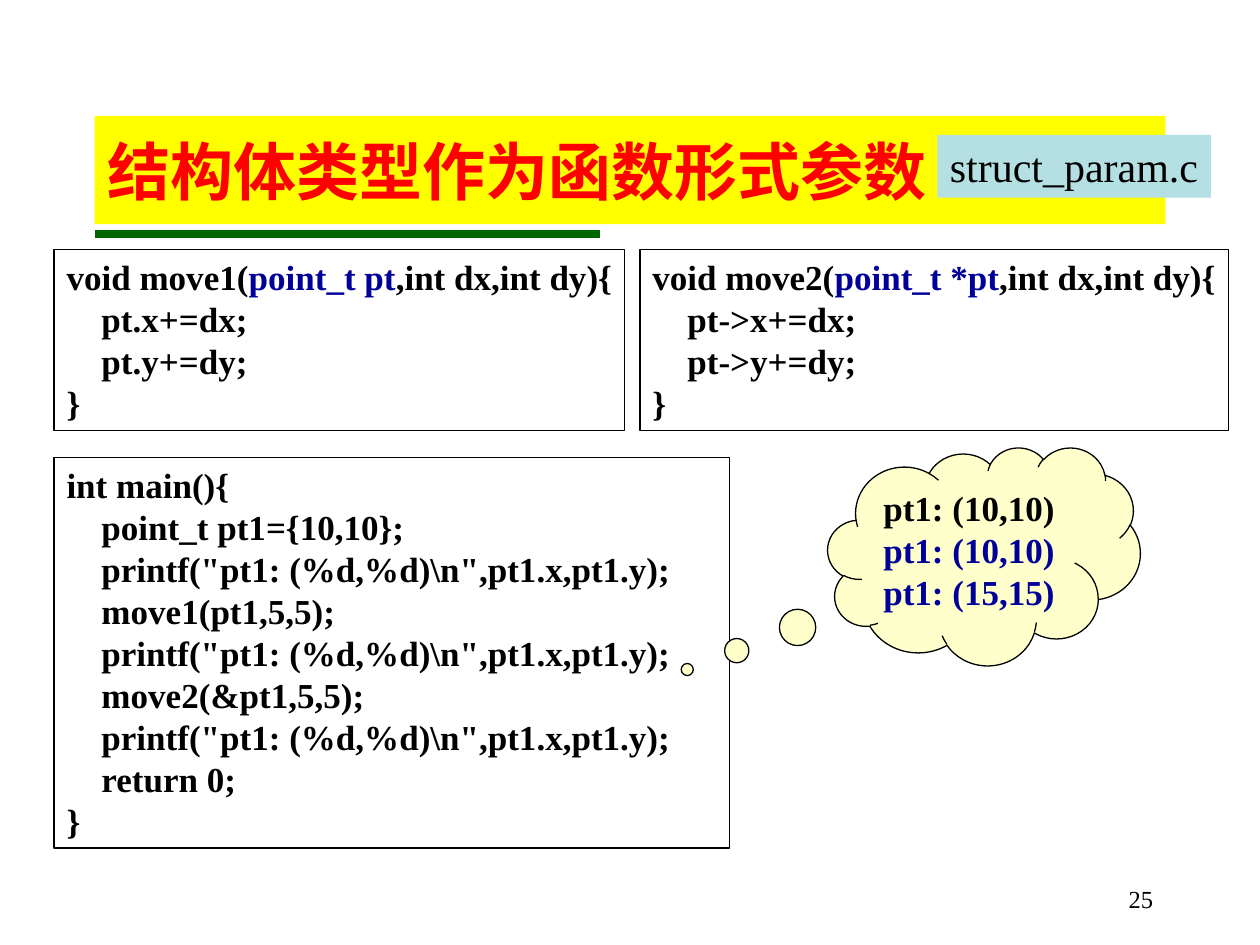
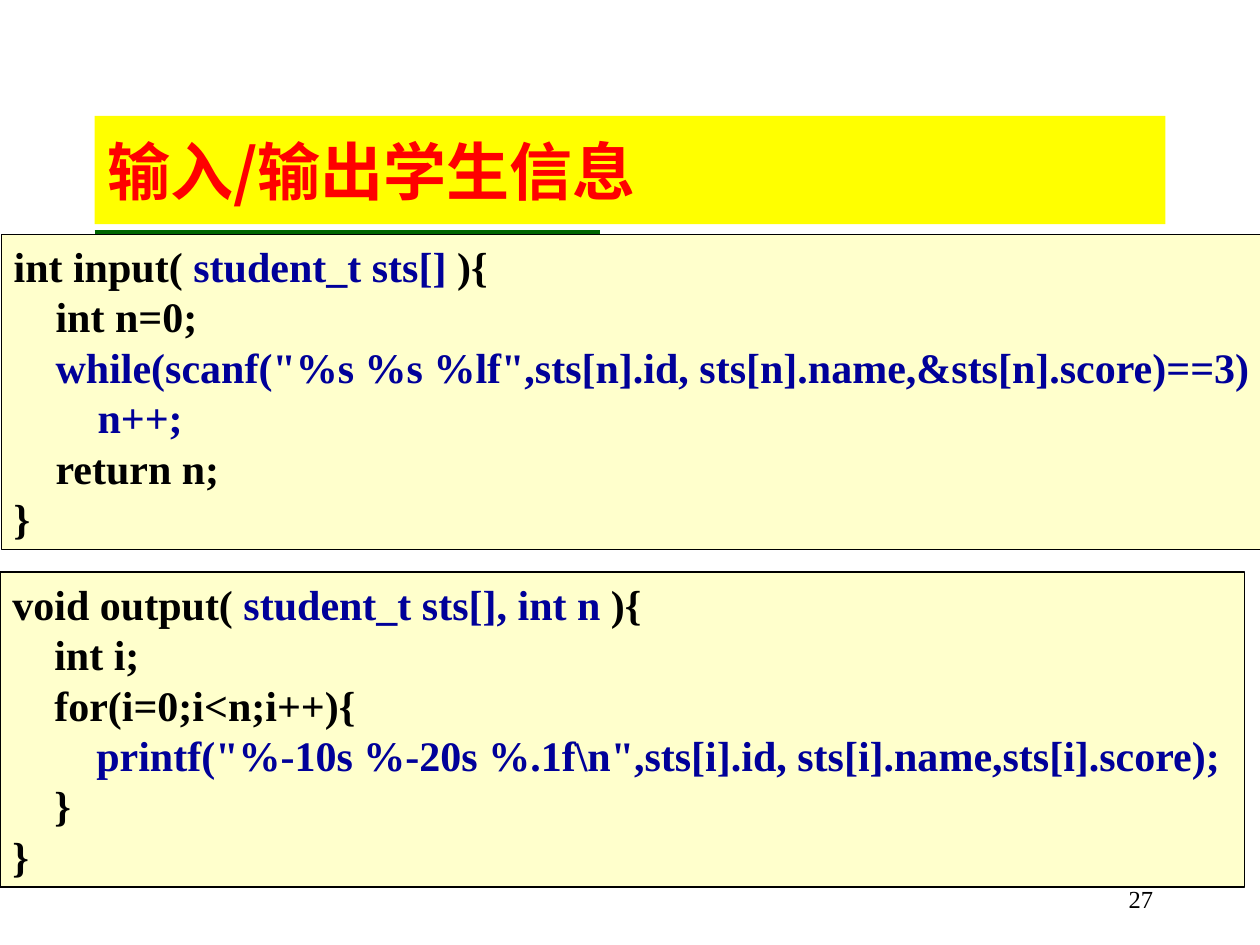
from lxml.etree import SubElement
from pptx import Presentation
from pptx.dml.color import RGBColor as RGB
from pptx.enum.shapes import MSO_CONNECTOR as LINE, MSO_SHAPE as SHAPE
from pptx.enum.text import MSO_ANCHOR as ANCHOR, MSO_AUTO_SIZE as FIT, PP_ALIGN as ALIGN
from pptx.oxml.ns import qn
from pptx.util import Pt

PX = 9144  # 100 px to the inch
BLACK = RGB(0x00, 0x00, 0x00)
BLUE = RGB(0x00, 0x00, 0x99)
RED = RGB(0xFF, 0x00, 0x00)
YELLOW = RGB(0xFF, 0xFF, 0x00)
GREEN = RGB(0x00, 0x66, 0x00)
CREAM = RGB(0xFF, 0xFF, 0xCC)
AQUA = RGB(0xB5, 0xE0, 0xE3)
SERIF = "Times New Roman"
SANS = "Noto Sans CJK SC"


def style(run, size, color, bold=True, face=SERIF):
    font = run.font
    font.name, font.size, font.bold = face, Pt(size), bold
    font.color.rgb = color


def add_box(slide, kind, area, text, size, fill=None, edge=True, bold=True, wrap=True):
    """Add a framed text; the parts between bars are blue."""
    box = slide.shapes.add_shape(kind, *[n * PX for n in area])
    box.shadow.inherit = False
    if fill:
        box.fill.solid()
        box.fill.fore_color.rgb = fill
    else:
        box.fill.background()
    if edge:
        box.line.color.rgb = BLACK
        box.line.width = Pt(0.75)
    else:
        box.line.fill.background()
    frame = box.text_frame
    frame.word_wrap = wrap
    frame.vertical_anchor = ANCHOR.TOP
    frame.auto_size = FIT.SHAPE_TO_FIT_TEXT if kind == SHAPE.RECTANGLE else FIT.NONE
    for i, row in enumerate(text.split("\n")):
        para = frame.add_paragraph() if i else frame.paragraphs[0]
        para.alignment = ALIGN.LEFT
        for j, part in enumerate(row.split("|")):
            if part:
                run = para.add_run()
                run.text = part
                style(run, size, BLUE if j % 2 else BLACK, bold)
    return box


deck = Presentation()
deck.slide_width, deck.slide_height = 1000 * PX, 750 * PX

# Shared title band, rule and page number
slides = []
for name, page in [("结构体类型作为函数形式参数", "25"), ("输入/输出学生信息", "27")]:
    slide = deck.slides.add_slide(deck.slide_layouts[5])
    slides.append(slide)

    title = slide.shapes.title
    title.left, title.top, title.width, title.height = [n * PX for n in (75, 92, 850, 86)]
    title.fill.solid()
    title.fill.fore_color.rgb = YELLOW
    frame = title.text_frame
    frame.text = name
    frame.auto_size = FIT.NONE
    frame.vertical_anchor = ANCHOR.MIDDLE
    para = frame.paragraphs[0]
    para.alignment = ALIGN.LEFT
    run = para.runs[0]
    style(run, 36, RED, face=SANS)
    SubElement(run.font._element, qn("a:ea")).set("typeface", SANS)

    rule = slide.shapes.add_connector(LINE.STRAIGHT, 75 * PX, 186 * PX, 476 * PX, 186 * PX)
    rule.line.color.rgb = GREEN
    rule.line.width = Pt(4.5)
    SubElement(rule._element.spPr, qn("a:effectLst"))

    foot = slide.shapes.add_textbox(717 * PX, 692 * PX, 208 * PX, 38 * PX).text_frame
    foot.word_wrap = True
    foot.vertical_anchor = ANCHOR.BOTTOM
    foot.text = page
    foot.paragraphs[0].alignment = ALIGN.RIGHT
    style(foot.paragraphs[0].runs[0], 14, BLACK, bold=False)

# Slide 1: structures as parameters
first, second = slides
add_box(first, SHAPE.RECTANGLE, (43, 363, 536, 310), r"""int main(){
    point_t pt1={10,10};
    printf("pt1: (%d,%d)\n",pt1.x,pt1.y);
    move1(pt1,5,5);
    printf("pt1: (%d,%d)\n",pt1.x,pt1.y);
    move2(&pt1,5,5);
    printf("pt1: (%d,%d)\n",pt1.x,pt1.y);
    return 0;
}""", 20)

cloud = add_box(first, SHAPE.CLOUD_CALLOUT, (657, 355, 248, 173), """pt1: (10,10)
|pt1: (10,10)|
|pt1: (15,15)|""", 20, CREAM)
cloud.adjustments[0] = -0.95
cloud.adjustments[1] = 0.52

for left, width, func, arg, ref in [
    (508, 467, "move2", "*pt", "pt->"),
    (43, 453, "move1", "pt", "pt."),
]:
    code = f"""void {func}(|point_t {arg}|,int dx,int dy){{
    {ref}x+=dx;
    {ref}y+=dy;
}}"""
    add_box(first, SHAPE.RECTANGLE, (left, 198, width, 144), code, 20, wrap=False)

add_box(first, SHAPE.RECTANGLE, (744, 107, 217, 50), "struct_param.c", 24, AQUA,
        edge=False, bold=False)

# Slide 2: reading and printing students
add_box(second, SHAPE.RECTANGLE, (1, 186, 1001, 250), r"""int input( |student_t sts[]| ){
    int n=0;
    |while(scanf("%s %s %lf",sts[n].id, sts[n].name,&sts[n].score)==3)|
|        n++;|
    return n;
}""", 24, CREAM, wrap=False)

add_box(second, SHAPE.RECTANGLE, (0, 454, 988, 250), r"""void output( |student_t sts[], int n| ){
    int i;
    for(i=0;i<n;i++){
        |printf("%-10s %-20s %.1f\n",sts[i].id, sts[i].name,sts[i].score);|
    }
}""", 24, CREAM)

deck.save("out.pptx")
